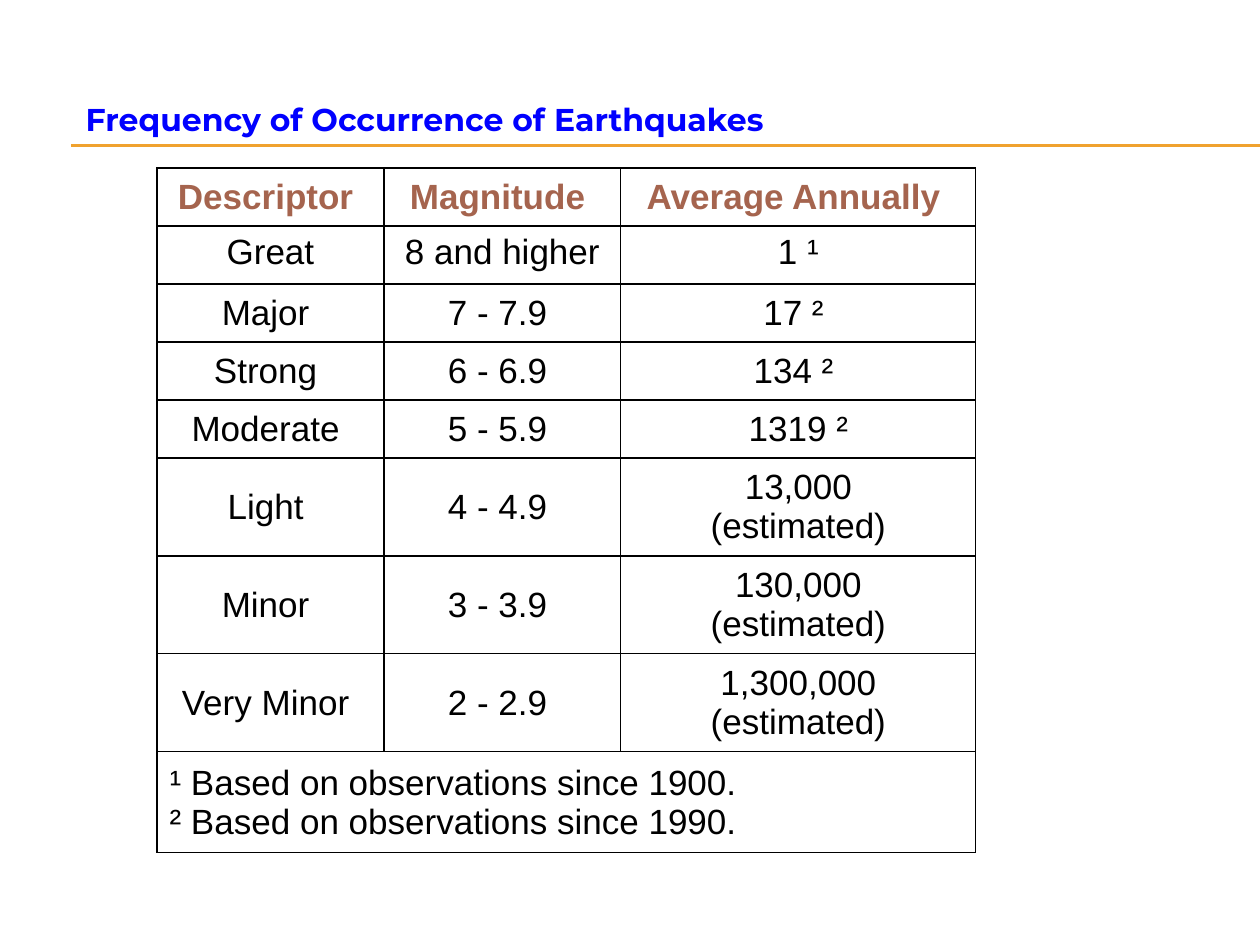
import pptx
import pptx.util
import pptx.dml.color
import pptx.enum.shapes
import pptx.enum.text
import pptx.oxml.ns
from lxml import etree

PX = 914400 // 126
COLORS = {"title": "0000FF", "rule": "F0A22E", "header": "A5644E", "text": "000000"}
ALIGN = pptx.enum.text.PP_ALIGN
ANCHOR = pptx.enum.text.MSO_ANCHOR
COLUMNS = [227, 237, 355]
HEIGHTS = [58] * 5 + [98] * 3 + [101]
ROWS = [
    ["Descriptor ", "Magnitude ", "Average Annually "],
    ["Great", "8 and higher", "1 ¹"],
    ["Major ", "7 - 7.9 ", "17 ² "],
    ["Strong ", "6 - 6.9 ", "134 ² "],
    ["Moderate ", "5 - 5.9 ", "1319 ²"],
    ["Light ", "4 - 4.9 ", "13,000\n(estimated)"],
    ["Minor ", "3 - 3.9 ", "130,000\n(estimated)"],
    ["Very Minor ", "2 - 2.9 ", "1,300,000\n(estimated)"],
]
FOOTNOTE = "¹ Based on observations since 1900. \n² Based on observations since 1990."


def px(n):
    return pptx.util.Emu(n * PX)


def rgb(name):
    return pptx.dml.color.RGBColor.from_string(COLORS[name])


def write(tf, text, size=20, font="Arial", color="text", bold=False, align=ALIGN.CENTER):
    p = tf.paragraphs[0]
    p.text = text
    p.alignment = align
    for r in p.runs:
        r.font.size = pptx.util.Pt(size)
        r.font.name = font
        r.font.bold = bold
        r.font.color.rgb = rgb(color)


def add_title(s, text):
    sp = s.shapes.title
    sp.left, sp.top, sp.width, sp.height = px(73), px(63), px(1138), px(147)
    tf = sp.text_frame
    tf.word_wrap = False
    tf.vertical_anchor = ANCHOR.MIDDLE
    tf.margin_bottom = px(41)
    write(tf, text, size=18, font="Montserrat", color="title", bold=True, align=ALIGN.LEFT)


def add_rule(s, y):
    line = s.shapes.add_connector(
        pptx.enum.shapes.MSO_CONNECTOR.STRAIGHT, px(71), px(y), px(1260), px(y))
    line.line.color.rgb = rgb("rule")
    line.line.width = pptx.util.Pt(0.75)
    etree.SubElement(line._element.spPr, pptx.oxml.ns.qn("a:effectLst"))


def add_borders(cell):
    qn = pptx.oxml.ns.qn
    tcPr = cell._tc.get_or_add_tcPr()
    for i, side in enumerate(["lnL", "lnR", "lnT", "lnB"]):
        ln = etree.Element(qn(f"a:{side}"), w=str(pptx.util.Pt(0.75)))
        fill = etree.SubElement(ln, qn("a:solidFill"))
        etree.SubElement(fill, qn("a:srgbClr"), val=COLORS["text"])
        tcPr.insert(i, ln)


def add_frequency_table(s):
    table = s.shapes.add_table(
        len(HEIGHTS), len(COLUMNS), px(157), px(168),
        px(sum(COLUMNS)), px(sum(HEIGHTS))).table
    table.first_row = table.horz_banding = False
    for column, width in zip(table.columns, COLUMNS):
        column.width = px(width)
    for row, height in zip(table.rows, HEIGHTS):
        row.height = px(height)
    for cell in table.iter_cells():
        cell.fill.background()
        add_borders(cell)
    for i, texts in enumerate(ROWS):
        for j, text in enumerate(texts):
            cell = table.cell(i, j)
            cell.vertical_anchor = ANCHOR.TOP if i == 1 else ANCHOR.MIDDLE
            write(cell.text_frame, text, color="text" if i else "header", bold=i == 0)
    note = table.cell(len(ROWS), 0)
    note.merge(table.cell(len(ROWS), len(COLUMNS) - 1))
    note.vertical_anchor = ANCHOR.MIDDLE
    write(note.text_frame, FOOTNOTE, align=ALIGN.LEFT)


def main():
    prs = pptx.Presentation()
    prs.slide_width, prs.slide_height = px(1260), px(945)
    s = prs.slides.add_slide(prs.slide_layouts[5])
    for y in (145, 146):
        add_rule(s, y)
    add_title(s, "Frequency of Occurrence of Earthquakes")
    add_frequency_table(s)
    prs.save("out.pptx")


if __name__ == "__main__":
    main()
